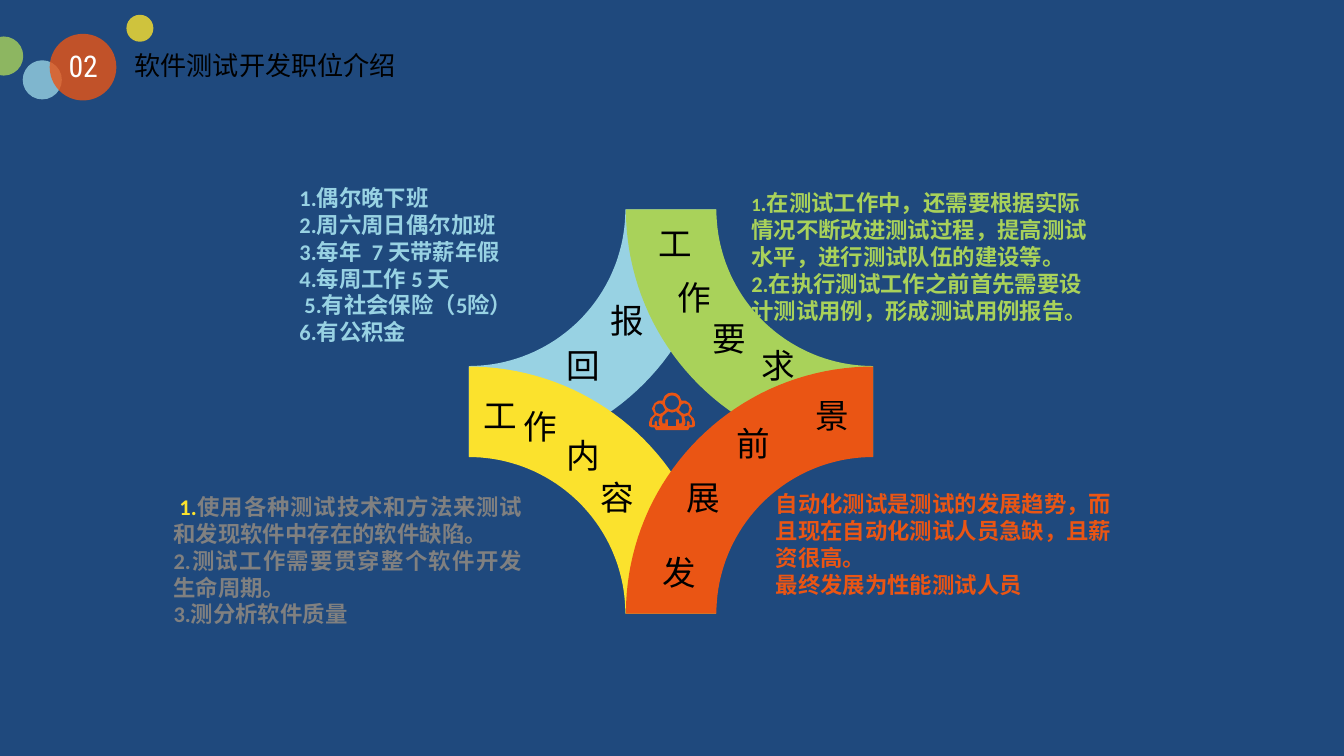
"""Build the job introduction slide with its four-arm wheel."""
import math

import pptx
import pptx.dml.color
import pptx.enum.shapes
import pptx.enum.text
import pptx.oxml
import pptx.oxml.ns
import pptx.util

Cm = pptx.util.Cm
ALIGN = pptx.enum.text.PP_ALIGN
COLORS = {
    "navy": "1F497D", "blue": "98D2E3", "yellow": "FBE22D", "green": "A9D25A",
    "orange": "EA5514", "grey": "808080", "white": "FFFFFF", "black": "000000",
}
WHEEL_SIZE, OUTER_RADIUS, INNER_RADIUS = 7.64, 4.67, 2.96
ARMS = [
    ("blue", 0, 0, 0, [("回", 1.6, 2.44), ("报", 2.42, 1.58)]),
    ("yellow", 0, 1, 270, [("工", 0.03, 3.38), ("作", 0.79, 3.58),
                           ("内", 1.6, 4.14), ("容", 2.24, 4.93)]),
    ("green", 1, 0, 90, [("工", 3.33, 0.13), ("作", 3.69, 1.15),
                         ("要", 4.35, 1.93), ("求", 5.29, 2.44)]),
    ("orange", 1, 1, 180, [("发", 3.41, 6.35), ("展", 3.87, 4.93),
                           ("前", 4.81, 3.91), ("景", 6.3, 3.38)]),
]
CROWD_HALF = [(17, 0), (20, 0.6), (22.5, 2.5), (24, 6), (27, 6), (30, 8), (32, 12),
              (30, 16), (33, 19), (34, 22), (34, 25), (32, 26), (30, 26), (29, 28)]
BODY_HALF = [(17, 15), (20, 14), (24, 17.5), (24.5, 21), (24, 23), (22, 23),
             (22, 20), (20, 20), (20, 25), (17, 25)]
SIDE_HEAD = [(24, 9), (26, 8), (29, 9), (30, 12), (29, 15), (26, 16), (24, 15), (22, 13)]
SIDE_BODY = [(28, 25), (28, 22), (29, 21), (30, 22), (30, 24), (32, 24), (32, 22),
             (31, 19), (29, 17), (26, 18), (27, 21), (27, 23), (26, 25)]
NOTES = [
    ((14.2, 3.58, 6.6, 2.57), ALIGN.LEFT, [
        [("1", 10, "green"),
         (".在测试工作中，还需要根据实际情况不断改进测试过程，提高测试水平，进行测试队伍的建设等。", 12, "green")],
        [("2.在执行测试工作之前首先需要设计测试用例，形成测试用例报告。", 12, "green")]]),
    ((14.66, 9.27, 6.6, 2.06), ALIGN.LEFT, [
        [(line, 12, "orange")] for line in (
            "自动化测试是测试的发展趋势，而且现在自动化测试人员急缺，且薪资很高。",
            "最终发展为性能测试人员")]),
    ((5.66, 3.48, 6.6, 3.07), ALIGN.JUSTIFY, [
        [(line, 12, "blue")] for line in (
            "1.偶尔晚下班", "2.周六周日偶尔加班", "3.每年  7 天带薪年假",
            "4.每周工作 5 天", " 5.有社会保险（5险）", "6.有公积金")]),
    ((3.28, 9.32, 6.6, 4.27), ALIGN.JUSTIFY, [
        [(" 1.", 12, "yellow"),
         ("使用各种测试技术和方法来测试和发现软件中存在的软件缺陷。", 12, "grey")],
        [("2.测试工作需要贯穿整个软件开发生命周期。", 12, "grey")],
        [("3.测分析软件质量", 12, "grey")]]),
]


def color(name):
    """Return the named colour."""
    return pptx.dml.color.RGBColor.from_string(COLORS[name])


def paint(shape, name, opacity=100):
    """Fill a shape flat, without line or shadow."""
    shape.shadow.inherit = False
    shape.fill.solid()
    shape.fill.fore_color.rgb = color(name)
    shape.line.fill.background()
    if opacity < 100:
        tint = shape.fill._xPr.find(".//" + pptx.oxml.ns.qn("a:srgbClr"))
        alpha = pptx.oxml.parse_xml(
            "<a:alpha %s val='%d'/>" % (pptx.oxml.ns.nsdecls("a"), opacity * 1000))
        tint.append(alpha)


def add_outline(page, contours, name):
    """Draw closed contours, given in centimetres, as one shape."""
    scaled = [[(Cm(x), Cm(y)) for x, y in contour] for contour in contours]
    builder = page.shapes.build_freeform(*scaled[0][0], scale=1.0)
    builder.add_line_segments(scaled[0][1:], close=True)
    for contour in scaled[1:]:
        builder.move_to(*contour[0])
        builder.add_line_segments(contour[1:], close=True)
    paint(builder.convert_to_shape(), name)


def write(box, paragraphs, font="Calibri", bold=False, align=ALIGN.LEFT, inset=True):
    """Write paragraphs of (text, size, colour) runs into a box."""
    frame = box.text_frame
    frame.word_wrap = True
    frame.auto_size = pptx.enum.text.MSO_AUTO_SIZE.SHAPE_TO_FIT_TEXT
    frame.vertical_anchor = pptx.enum.text.MSO_ANCHOR.TOP
    if not inset:
        frame.margin_left = frame.margin_right = 0
        frame.margin_top = frame.margin_bottom = 0
    for index, runs in enumerate(paragraphs):
        para = frame.add_paragraph() if index else frame.paragraphs[0]
        para.alignment = align
        for text, size, name in runs:
            span = para.add_run()
            span.text = text
            span.font.name = font
            span.font.size = pptx.util.Pt(size)
            span.font.bold = bold
            span.font.color.rgb = color(name)


def add_text(page, place, paragraphs, **style):
    """Add a text box at (left, top, width, height) in centimetres."""
    box = page.shapes.add_textbox(*map(Cm, place))
    write(box, paragraphs, **style)


def arc(center, radius, start, end, steps=40):
    """Return points along an arc, with angles in degrees."""
    angles = [math.radians(start + (end - start) * i / steps) for i in range(steps + 1)]
    return [(center[0] + radius * math.cos(a), center[1] + radius * math.sin(a))
            for a in angles]


def mirror(points):
    """Reflect icon points about the icon's middle."""
    return [(34 - x, y) for x, y in reversed(points)]


def add_people(page, left, top, unit):
    """Draw the group-of-people icon."""
    contours = [
        CROWD_HALF + mirror(CROWD_HALF), BODY_HALF + mirror(BODY_HALF),
        arc((17, 7.5), 5.3, 0, 360, 24),
        SIDE_HEAD, mirror(SIDE_HEAD), SIDE_BODY, mirror(SIDE_BODY),
    ]
    add_outline(page, [[(left + x * unit, top + y * unit) for x, y in contour]
                       for contour in contours], "orange")


def add_wheel(page, left, top):
    """Draw four quarter rings about the corners, their icon and lettering."""
    for name, column, row, start, _ in ARMS:
        center = (left + column * WHEEL_SIZE, top + row * WHEEL_SIZE)
        ring = (arc(center, OUTER_RADIUS, start, start + 90)
                + arc(center, INNER_RADIUS, start + 90, start))
        add_outline(page, [ring], name)
    add_people(page, left + 3.41, top + 3.46, 0.0254)
    for *_, letters in ARMS:
        for letter, x, y in letters:
            add_text(page, (left + x, top + y, 1, 1.02), [[(letter, 18, "black")]])


def add_header(page, left, top):
    """Place the bubbles, section number and title."""
    bubbles = [("yellow", 2.39, 0.28, 0.51), ("green", -0.3, 0.69, 0.74),
               ("blue", 0.43, 1.14, 0.74), ("orange", 0.94, 0.64, 1.26)]
    for name, x, y, size in bubbles:
        bubble = page.shapes.add_shape(
            pptx.enum.shapes.MSO_SHAPE.OVAL,
            Cm(left + x), Cm(top + y), Cm(size), Cm(size))
        paint(bubble, name, 80)
    add_text(page, (left + 1.12, top + 0.91, 0.91, 0.69), [[("02", 16, "white")]],
             font="Roboto Condensed", align=ALIGN.CENTER, inset=False)
    title = page.shapes.title
    title.left, title.top = Cm(left + 2.54), Cm(top + 0.94)
    title.width, title.height = Cm(7.72), Cm(0.61)
    write(title, [[("软件测试开发职位介绍", 14, "black")]],
          font="Roboto Condensed", inset=False)


def main():
    """Build and save the deck."""
    deck = pptx.Presentation()
    deck.slide_width, deck.slide_height = Cm(25.4), Cm(14.29)
    page = deck.slides.add_slide(deck.slide_layouts[5])
    page.background.fill.solid()
    page.background.fill.fore_color.rgb = color("navy")
    add_wheel(page, 8.86, 3.96)
    for place, align, paragraphs in NOTES:
        add_text(page, place, paragraphs, bold=True, align=align, inset=False)
    add_header(page, 0, 0)
    deck.save("out.pptx")


if __name__ == "__main__":
    main()
